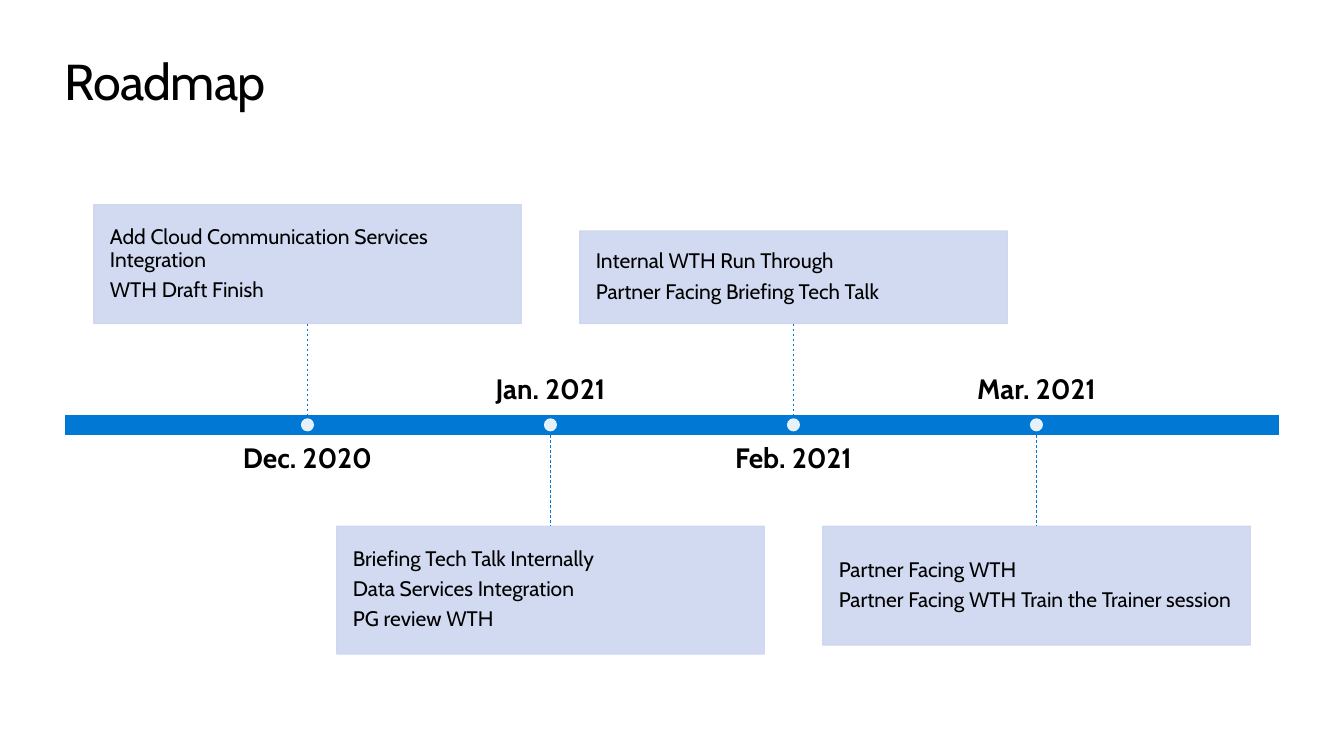
from lxml.etree import SubElement
from pptx import Presentation
from pptx.dml.color import RGBColor
from pptx.enum.dml import MSO_LINE
from pptx.enum.shapes import MSO_CONNECTOR, MSO_SHAPE
from pptx.enum.text import MSO_ANCHOR as Anchor, PP_ALIGN as Align
from pptx.oxml.ns import qn
from pptx.util import Inches, Pt

FONT = "Cabin"
BLACK = RGBColor(0x00, 0x00, 0x00)
WHITE = RGBColor(0xFF, 0xFF, 0xFF)
BLUE = RGBColor(0x00, 0x78, 0xD4)
PALE = RGBColor(0xCC, 0xD6, 0xEF)

WIDE, HIGH = 13.33, 7.5
LEFT, SPAN = 0.64, 12.05
BAR = (LEFT, 4.11, SPAN, 0.21)
CARD, STEM, DOT = 4.24, 0.9, 0.13
LABEL = (3.86, 0.6)
GAP = 0.09  # between bar and date

# date, card above the bar, card height, card lines
STOPS = [
    ("Dec. 2020", True, 1.18,
     ["Add Cloud Communication Services Integration", "WTH Draft Finish"]),
    ("Jan. 2021", False, 1.27,
     ["Briefing Tech Talk Internally", "Data Services Integration",
      "PG review WTH"]),
    ("Feb. 2021", True, 0.92,
     ["Internal WTH Run Through", "Partner Facing Briefing Tech Talk"]),
    ("Mar. 2021", False, 1.18,
     ["Partner Facing WTH", "Partner Facing WTH Train the Trainer session"]),
]


def inches(box):
    return [Inches(n) for n in box]


def fade(fill):
    """Make a solid fill 90 % opaque."""
    for color in fill.iter(qn("a:srgbClr")):
        SubElement(color, qn("a:alpha"), val="90000")


def write(shape, lines, size, align=Align.LEFT, anchor=Anchor.TOP,
          inset=0, bold=False, after=0.35, lead=0.9):
    """Fill a shape with one paragraph per line; return its runs."""
    frame = shape.text_frame
    frame.word_wrap = True
    frame.vertical_anchor = anchor
    frame.margin_left = frame.margin_right = Inches(inset)
    frame.margin_top = frame.margin_bottom = Inches(inset)
    runs = []
    for i, line in enumerate(lines):
        para = frame.add_paragraph() if i else frame.paragraphs[0]
        para.alignment = align
        para.line_spacing = lead
        para.space_before = Pt(0)
        para.space_after = Pt(size * after)
        run = para.add_run()
        run.text = line
        font = run.font
        font.name, font.size, font.bold = FONT, Pt(size), bold
        font.color.rgb = BLACK
        runs.append(run)
    return runs


def block(slide, kind, box, fill, edge=None):
    shape = slide.shapes.add_shape(kind, *inches(box))
    shape.shadow.inherit = False
    shape.fill.solid()
    shape.fill.fore_color.rgb = fill
    if edge is None:
        shape.line.fill.background()
    else:
        shape.line.color.rgb = edge
        shape.line.width = Pt(0.85)
    return shape


def title(slide, box):
    text = slide.shapes.add_textbox(*inches(box))
    run, = write(text, ["Roadmap"], 36, after=0, lead=1.0)
    run.font._element.set("spc", "-50")


def card(slide, box, lines):
    shape = block(slide, MSO_SHAPE.RECTANGLE, box, PALE, PALE)
    fade(shape._element.spPr)
    write(shape, lines, 15, anchor=Anchor.MIDDLE, inset=0.16)


def stem(slide, x, top):
    line = slide.shapes.add_connector(
        MSO_CONNECTOR.STRAIGHT, *inches((x, top, x, top + STEM)))
    line.line.color.rgb = BLUE
    line.line.width = Pt(0.5)
    line.line.dash_style = MSO_LINE.DASH
    SubElement(line._element.spPr, qn("a:effectLst"))


def stop(slide, x, bar, date, above, tall, lines):
    """Place one date, with its card and stem, around x on the bar."""
    top, thick = bar[1], bar[3]
    foot = top + thick
    wide, high = LABEL
    if above:
        card_y, stem_y = top - STEM - tall, top - STEM
        date_y, anchor = foot + GAP, Anchor.TOP
    else:
        card_y, stem_y = foot + STEM, foot
        date_y, anchor = top - GAP - high, Anchor.BOTTOM
    label = slide.shapes.add_textbox(
        *inches((x - wide / 2, date_y, wide, high)))
    write(label, [date], 20, Align.CENTER, anchor, bold=True)
    card(slide, (x - CARD / 2, card_y, CARD, tall), lines)
    stem(slide, x, stem_y)
    mid = top + thick / 2
    dot = block(slide, MSO_SHAPE.OVAL,
                (x - DOT / 2, mid - DOT / 2, DOT, DOT), WHITE)
    fade(dot._element.spPr)


def timeline(slide, bar):
    block(slide, MSO_SHAPE.RECTANGLE, bar, BLUE, WHITE)
    step = bar[2] / (len(STOPS) + 1)
    for i, item in enumerate(STOPS, 1):
        stop(slide, bar[0] + i * step, bar, *item)


def main():
    deck = Presentation()
    deck.slide_width, deck.slide_height = Inches(WIDE), Inches(HIGH)
    slide = deck.slides.add_slide(deck.slide_layouts[6])
    title(slide, (LEFT, 0.5, SPAN, 0.61))
    timeline(slide, BAR)
    deck.save("out.pptx")


if __name__ == "__main__":
    main()
